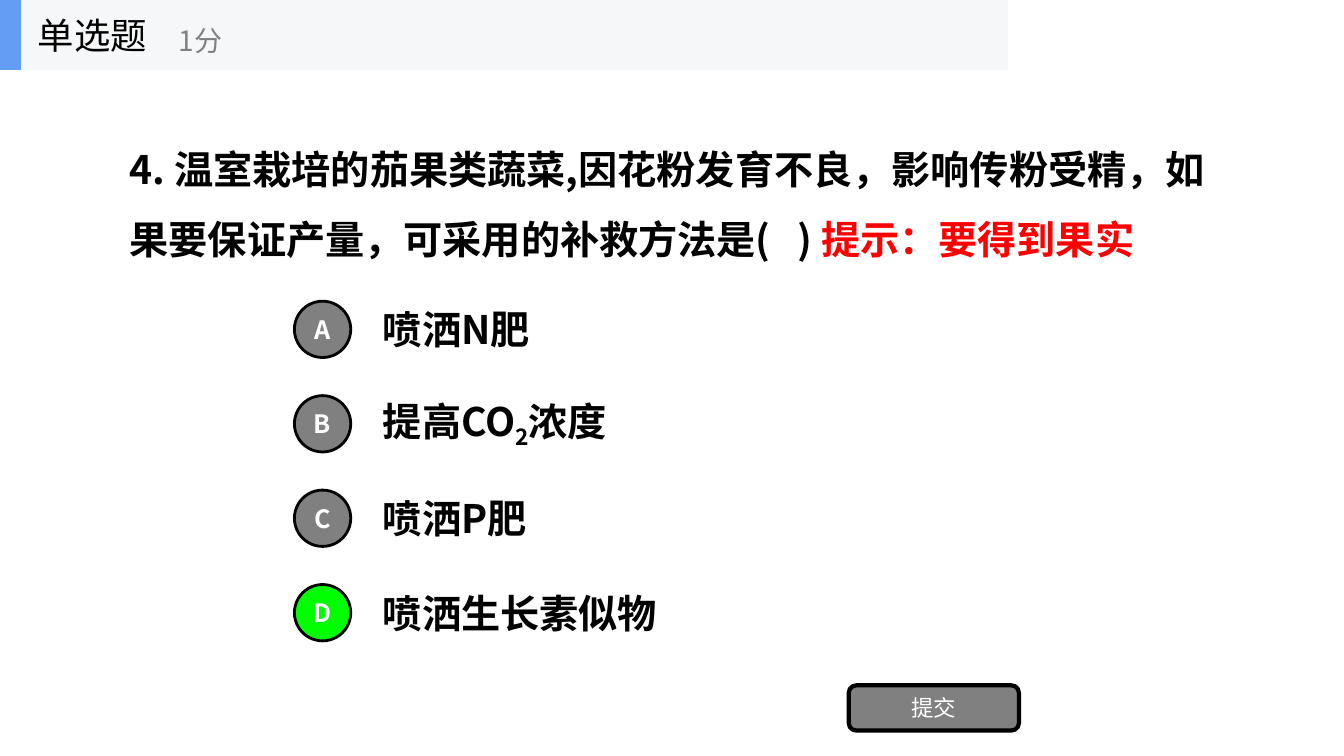
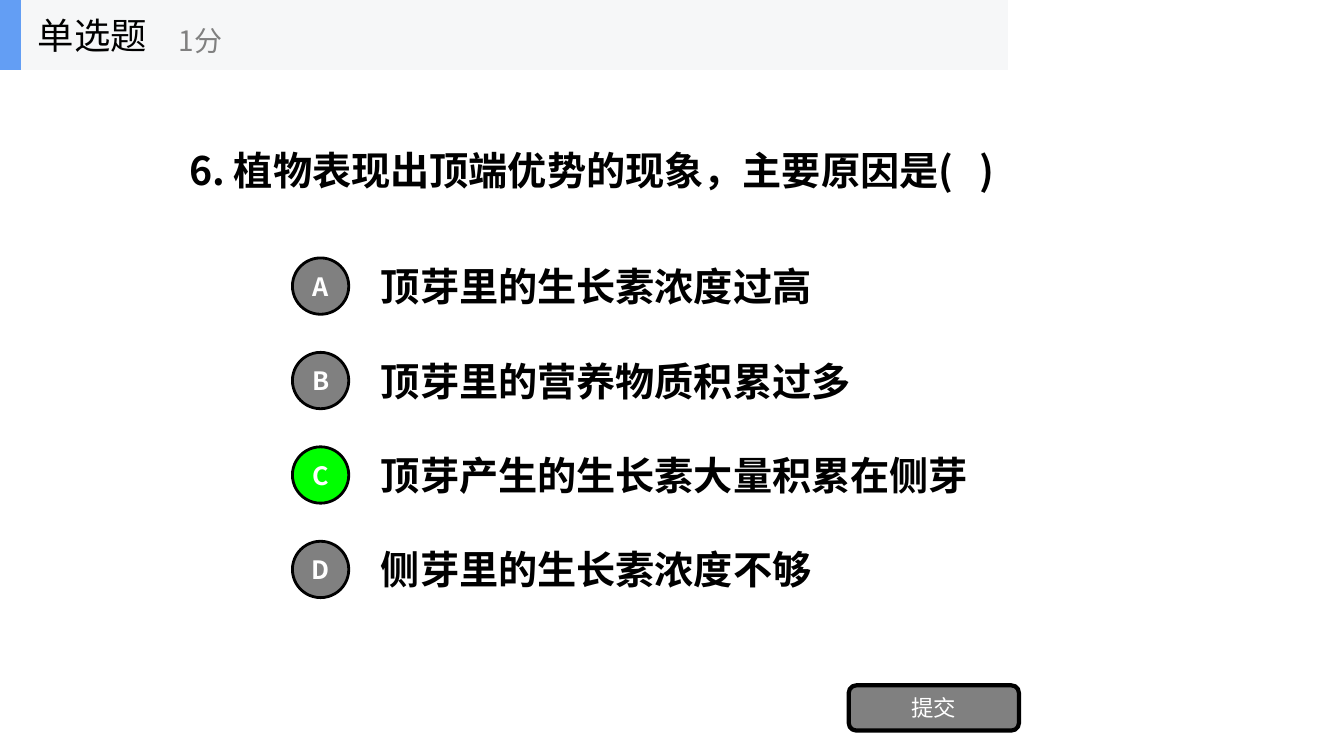
"""Builds two single-choice quiz slides with a shared header, options and submit button."""
import dataclasses

import pptx
import pptx.dml.color
import pptx.enum.shapes
import pptx.enum.text
import pptx.util
from lxml import etree
from pptx.oxml.ns import qn

Cm = pptx.util.Cm
Pt = pptx.util.Pt
PRESET = pptx.enum.shapes.MSO_SHAPE
ALIGN = pptx.enum.text.PP_ALIGN


@dataclasses.dataclass(frozen=True)
class Theme:
    font: str = "Noto Sans CJK SC"
    ink: str = "000000"
    white: str = "FFFFFF"
    grey: str = "808080"
    band: str = "F6F7F8"
    accent: str = "639EF4"
    correct: str = "00FF00"
    hint: str = "FF0000"
    body_size: int = 28
    heading_size: int = 26
    score_size: int = 20
    letter_size: int = 18
    button_size: int = 16


class QuizDeck:
    def __init__(self, theme):
        self.theme = theme
        self.deck = pptx.Presentation()
        self.deck.slide_width, self.deck.slide_height = Cm(33.87), Cm(19.05)
        self.slide = None

    def new_slide(self):
        self.slide = self.deck.slides.add_slide(self.deck.slide_layouts[6])

    def fill_text(self, holder, runs, size, color, bold=False, align=ALIGN.LEFT, spacing=None):
        frame = holder.text_frame
        frame.word_wrap = True
        frame.vertical_anchor = pptx.enum.text.MSO_ANCHOR.MIDDLE
        paragraph = frame.paragraphs[0]
        for name, value in {"alignment": align, "line_spacing": spacing}.items():
            setattr(paragraph, name, value)
        for words, special in runs:
            run = paragraph.add_run()
            run.text = words
            style = {"name": self.theme.font, "size": Pt(size), "bold": bold}
            for name, value in style.items():
                setattr(run.font, name, value)
            run.font.color.rgb = pptx.dml.color.RGBColor.from_string(special.get("color", color))
            properties = run.font._element
            etree.SubElement(properties, qn("a:ea"), typeface=self.theme.font)
            if "baseline" in special:
                properties.set("baseline", special["baseline"])

    def text(self, box, runs, size, color, **layout):
        holder = self.slide.shapes.add_textbox(*map(Cm, box))
        self.fill_text(holder, runs, size, color, **layout)

    def block(self, preset, box, fill, outline=0):
        shape = self.slide.shapes.add_shape(preset, *map(Cm, box))
        shape.shadow.inherit = False
        shape.fill.solid()
        shape.fill.fore_color.rgb = pptx.dml.color.RGBColor.from_string(fill)
        if outline:
            shape.line.color.rgb = pptx.dml.color.RGBColor.from_string(self.theme.ink)
            shape.line.width = Pt(outline)
        else:
            shape.line.fill.background()
        return shape

    def header(self):
        look = self.theme
        self.block(PRESET.RECTANGLE, (0, 0, 25.4, 1.76), look.band)
        self.block(PRESET.RECTANGLE, (0, 0, 0.53, 1.76), look.accent)
        self.text((0.7, 0, 5.28, 1.76), [("单选题", {})], look.heading_size, look.ink)
        self.text((4.25, 0.31, 6.35, 1.42), [("1分", {})], look.score_size, look.grey)

    def question(self, box, runs, spacing=None):
        self.text(box, runs, self.theme.body_size, self.theme.ink, bold=True, spacing=spacing)

    def options(self, left, top, answers, correct):
        look = self.theme
        pitch, diameter, text_offset = 2.38, 1.42, 1.98
        for row, (letter, answer) in enumerate(zip("ABCD", answers)):
            y = top + row * pitch
            self.text((left + text_offset, y, 17.25, 1.45), answer,
                      look.body_size, look.ink, bold=True)
            fill = look.correct if letter == correct else look.grey
            badge = self.block(PRESET.OVAL, (left, y + 0.02, diameter, diameter), fill, 2)
            for side in ("left", "right", "top", "bottom"):
                setattr(badge.text_frame, f"margin_{side}", 0)
            self.fill_text(badge, [(letter, {})], look.letter_size, look.white,
                           bold=True, align=ALIGN.CENTER)

    def submit_button(self):
        look = self.theme
        button = self.block(PRESET.ROUNDED_RECTANGLE, (21.39, 17.27, 4.29, 1.14), look.grey, 3)
        self.fill_text(button, [("提交", {})], look.button_size, look.white, align=ALIGN.CENTER)

    def quiz(self, question, options):
        self.new_slide()
        self.question(**question)
        self.options(**options)
        self.submit_button()
        self.header()


def main():
    theme = Theme()
    quiz_deck = QuizDeck(theme)
    quiz_deck.quiz(
        question={
            "box": (3.02, 2.97, 27.81, 3.78),
            "runs": [
                ("4. 温室栽培的茄果类蔬菜,因花粉发育不良，影响传粉受精，"
                 "如果要保证产量，可采用的补救方法是(   ) ", {}),
                ("提示：要得到果实", {"color": theme.hint}),
            ],
            "spacing": Pt(50),
        },
        options={
            "left": 7.42,
            "top": 7.57,
            "answers": [
                [("喷洒N肥", {})],
                [("提高CO", {}), ("2", {"baseline": "-25000"}), ("浓度", {})],
                [("喷洒P肥", {})],
                [("喷洒生长素似物", {})],
            ],
            "correct": "D",
        },
    )
    quiz_deck.quiz(
        question={
            "box": (4.52, 3.56, 21.56, 1.45),
            "runs": [("6. 植物表现出顶端优势的现象，主要原因是(   )", {})],
        },
        options={
            "left": 7.37,
            "top": 6.48,
            "answers": [
                [("顶芽里的生长素浓度过高", {})],
                [("顶芽里的营养物质积累过多", {})],
                [("顶芽产生的生长素大量积累在侧芽", {})],
                [("侧芽里的生长素浓度不够", {})],
            ],
            "correct": "C",
        },
    )
    quiz_deck.deck.save("out.pptx")


if __name__ == "__main__":
    main()
